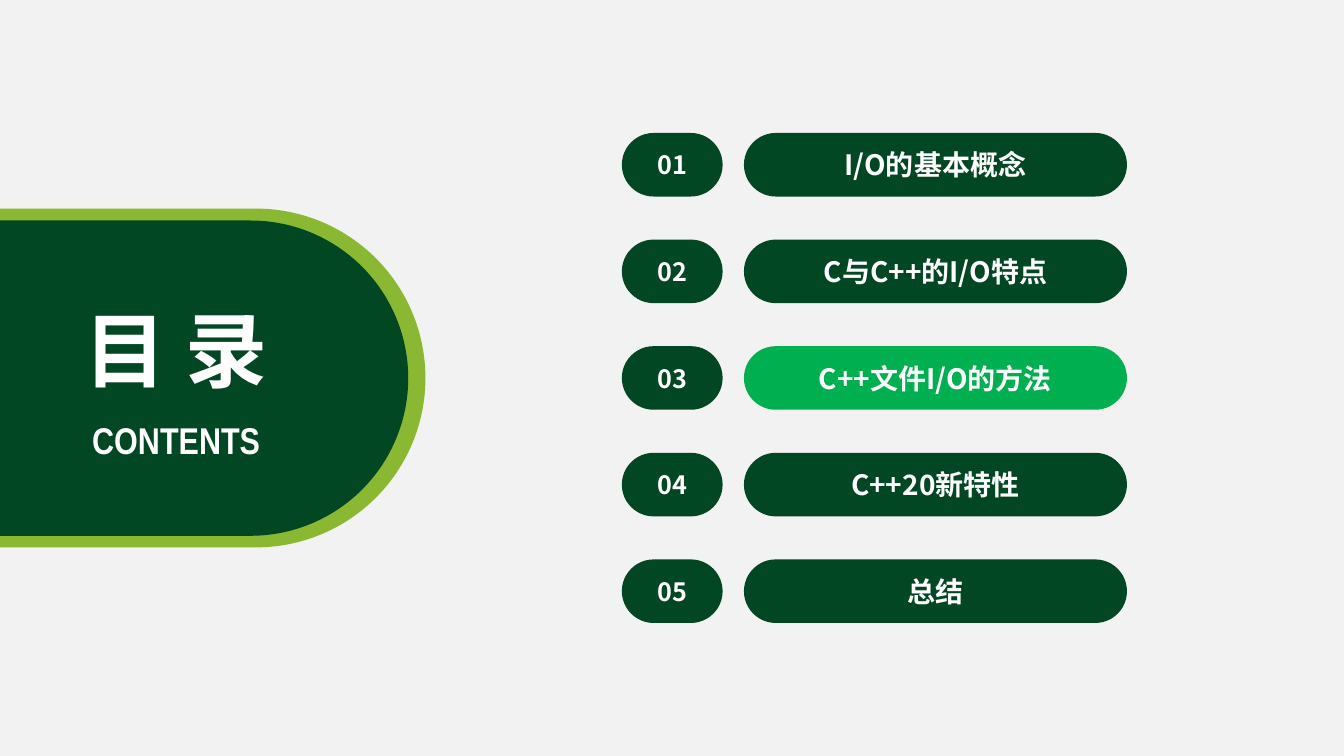
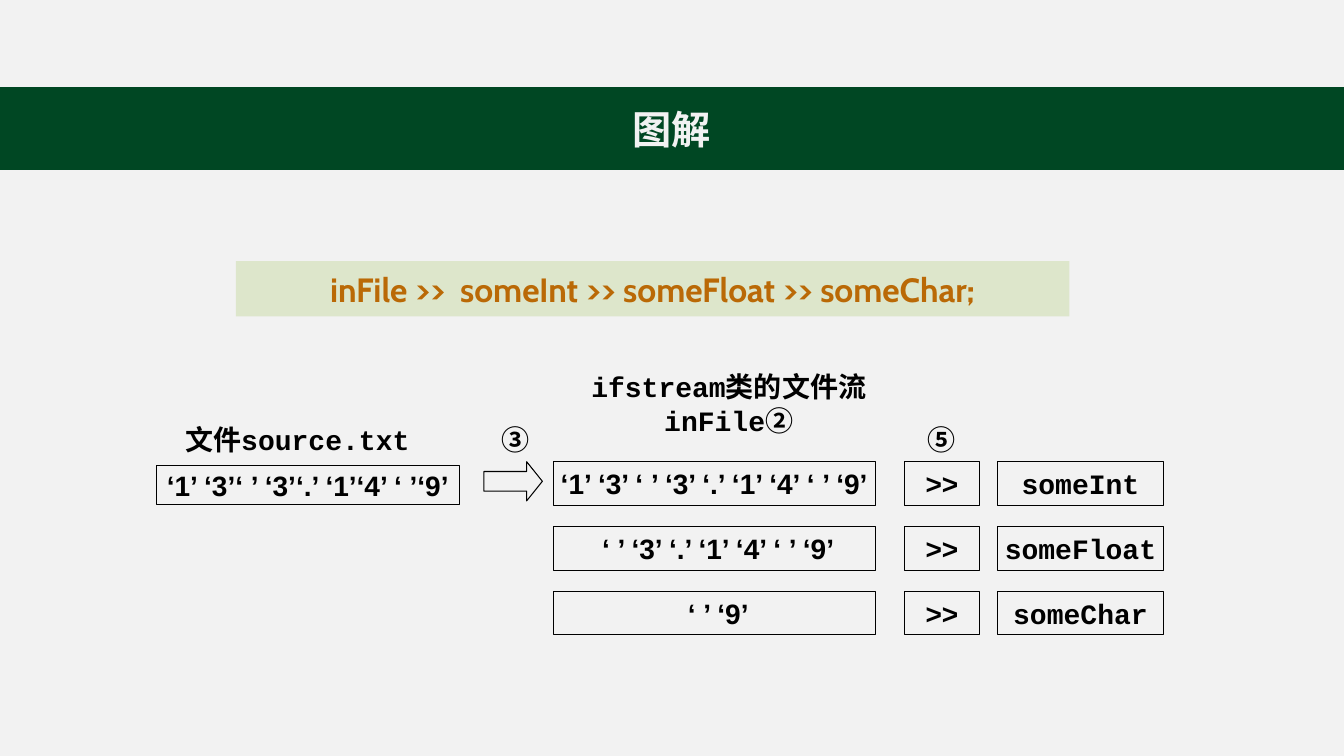
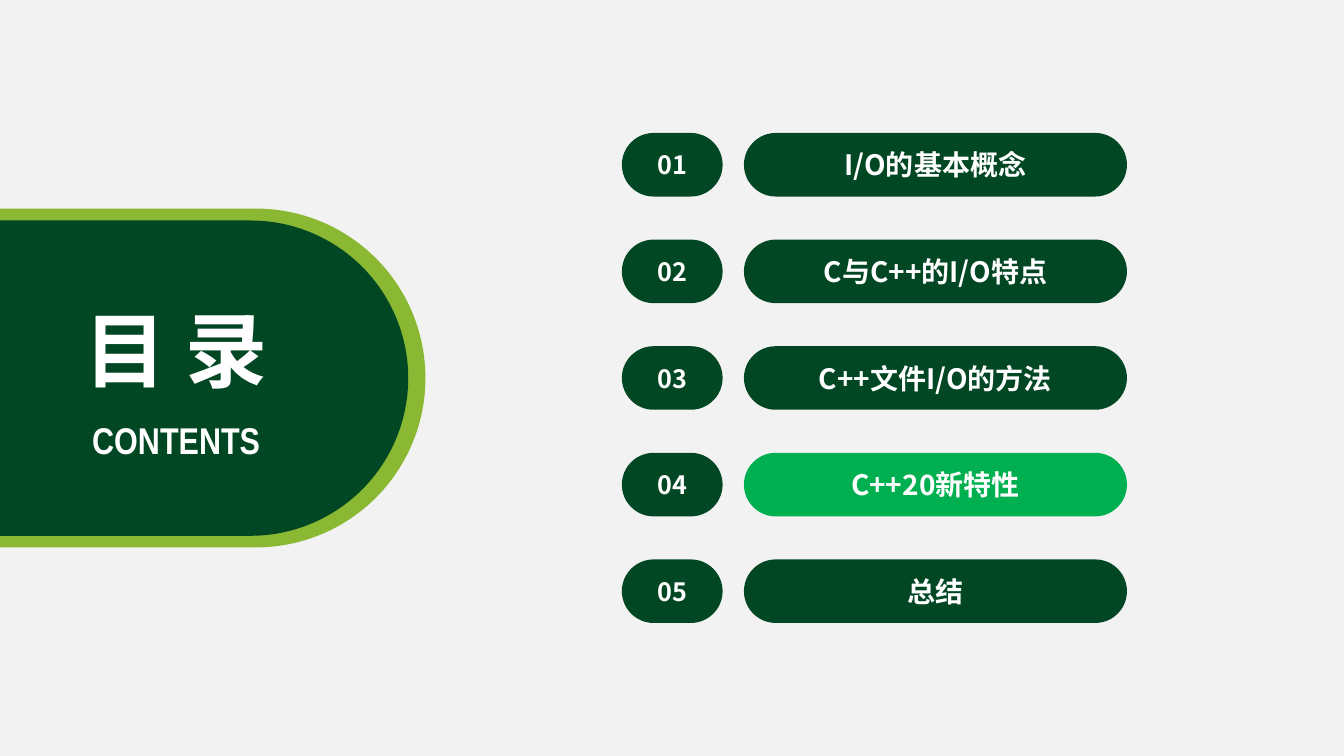
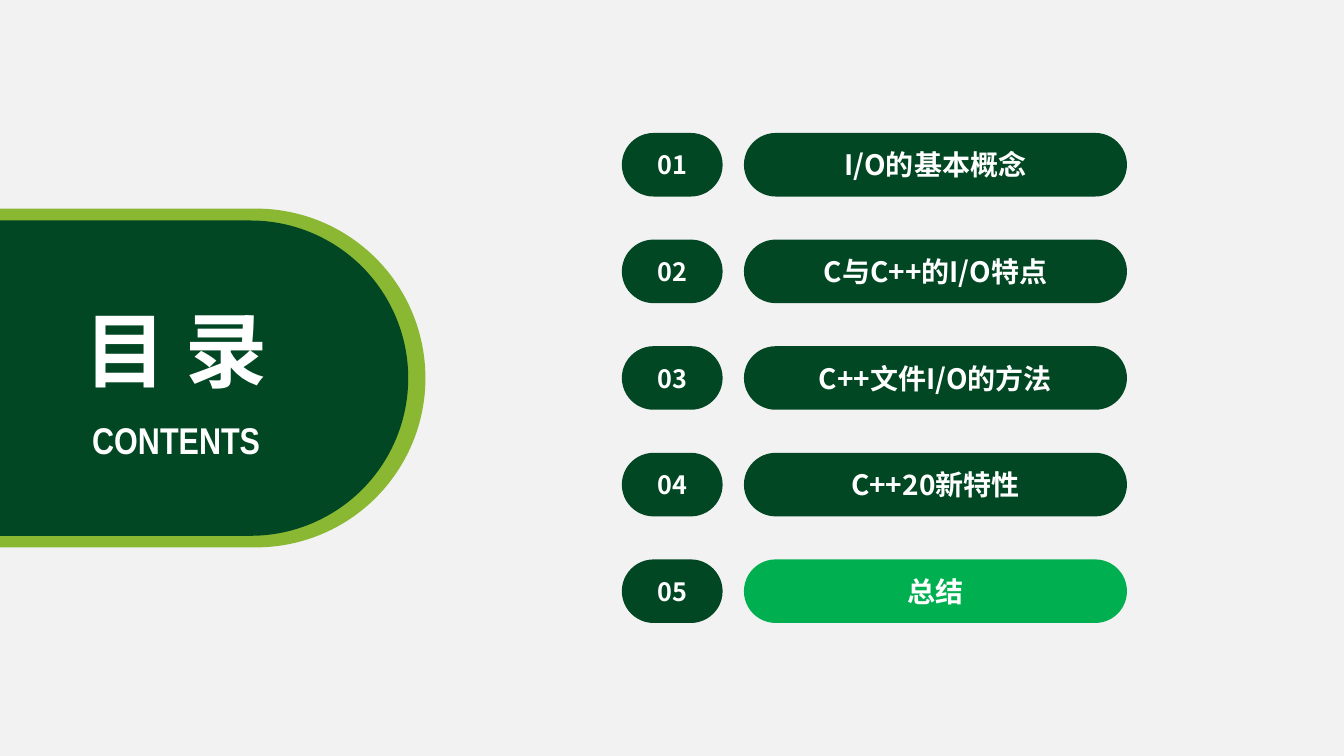
"""Builds three contents slides and one diagram of C++ stream extraction."""
from typing import NamedTuple

from lxml import etree
from pptx import Presentation
from pptx.dml.color import RGBColor
from pptx.enum.shapes import MSO_SHAPE
from pptx.enum.text import MSO_ANCHOR, PP_ALIGN
from pptx.oxml.ns import qn
from pptx.util import Pt

RECTANGLE = MSO_SHAPE.RECTANGLE
PILL = MSO_SHAPE.ROUNDED_RECTANGLE
ARROW = MSO_SHAPE.RIGHT_ARROW
MIDDLE = MSO_ANCHOR.MIDDLE
CENTER = PP_ALIGN.CENTER

PAPER = RGBColor(0xF2, 0xF2, 0xF2)
WHITE = RGBColor(0xFF, 0xFF, 0xFF)
BLACK = RGBColor(0x00, 0x00, 0x00)
DARK_GREEN = RGBColor(0x01, 0x47, 0x23)
BAND_GREEN = RGBColor(0x00, 0x47, 0x23)
LIME = RGBColor(0x8A, 0xB8, 0x33)
HIGHLIGHT = RGBColor(0x00, 0xB0, 0x50)
CODE_ORANGE = RGBColor(0xBA, 0x69, 0x06)

SANS = "Arial"
NARROW = "Arial Narrow"
MONO = "Courier New"
CJK = "Noto Sans CJK SC"
CODE_FONT = "Cabin"

SLIDE_WIDTH, SLIDE_HEIGHT = 960, 540


class Box(NamedTuple):
    left: float
    top: float
    width: float
    height: float

    def points(self) -> tuple:
        return tuple(Pt(length) for length in self)


class Run(NamedTuple):
    text: str
    font: str


class Extraction(NamedTuple):
    buffer: str
    variable: str


TOPICS = ("I/O的基本概念", "C与C++的I/O特点", "C++文件I/O的方法", "C++20新特性", "总结")
TOPIC_TOP, TOPIC_PITCH, TOPIC_HEIGHT = 95, 76.15, 45.4
NUMBER_LEFT, NUMBER_WIDTH = 444.2, 72
TOPIC_LEFT, TOPIC_WIDTH = 531.4, 273.6

EXTRACTIONS = (
    Extraction("‘1’ ‘3’ ‘ ’ ‘3’ ‘.’ ‘1’ ‘4’ ‘ ’ ‘9’", "someInt"),
    Extraction(" ‘ ’ ‘3’ ‘.’ ‘1’ ‘4’ ‘ ’ ‘9’", "someFloat"),
    Extraction(" ‘ ’ ‘9’", "someChar"),
)
ROW_TOP, ROW_PITCH, ROW_HEIGHT = 329.8, 46.4, 31
BUFFER_LEFT, BUFFER_WIDTH = 395.3, 230
OPERATOR_LEFT, OPERATOR_WIDTH = 645.8, 54
VARIABLE_LEFT, VARIABLE_WIDTH = 712.8, 118


def write(target, text, *, font=SANS, size=20, color=BLACK):
    """Write bold centred text, given as a string or as a tuple of runs."""
    frame = target.text_frame
    frame.word_wrap = True
    frame.vertical_anchor = MIDDLE
    frame.margin_left = frame.margin_right = frame.margin_top = frame.margin_bottom = 0
    paragraph = frame.paragraphs[0]
    paragraph.alignment = CENTER
    for piece in (Run(text, font),) if isinstance(text, str) else text:
        run = paragraph.add_run()
        run.text = piece.text
        run.font.size = Pt(size)
        run.font.bold = True
        run.font.color.rgb = color
        run.font.name = piece.font
        east_asian = etree.SubElement(run.font._element, qn("a:ea"))
        east_asian.set("typeface", piece.font)


def add_shape(slide, box: Box, kind=RECTANGLE, *, fill=None, line=None, weight=0.75, adjust=()):
    """Add a preset shape without shadow."""
    shape = slide.shapes.add_shape(kind, *box.points())
    shape.shadow.inherit = False
    if fill is None:
        shape.fill.background()
    else:
        shape.fill.solid()
        shape.fill.fore_color.rgb = fill
    if line is None:
        shape.line.fill.background()
    else:
        shape.line.color.rgb = line
        shape.line.width = Pt(weight)
    for index, value in enumerate(adjust):
        shape.adjustments[index] = value
    return shape


def add_pill(slide, box: Box, fill: RGBColor):
    """Add a shape with fully rounded ends."""
    return add_shape(slide, box, PILL, fill=fill, adjust=(0.5,))


def add_label(slide, box: Box, text, **style) -> None:
    """Add free text."""
    write(slide.shapes.add_textbox(*box.points()), text, **style)


def add_cell(slide, box: Box, text: str, *, font=SANS, weight=0.75) -> None:
    """Add an outlined box of the diagram."""
    write(add_shape(slide, box, line=BLACK, weight=weight), text, font=font)


def set_alpha(shape, percent: int) -> None:
    """Make the solid fill of a shape partly transparent."""
    color = shape._element.spPr.find(qn("a:solidFill"))[0]
    etree.SubElement(color, qn("a:alpha")).set("val", str(percent * 1000))


def new_slide(deck):
    """Add a blank slide."""
    return deck.slides.add_slide(deck.slide_layouts[6])


def add_contents(deck, current: int) -> None:
    """Add the contents slide with one topic highlighted."""
    slide = new_slide(deck)
    add_pill(slide, Box(-141.1, 149, 445, 242), LIME)
    add_pill(slide, Box(-122.4, 157.5, 414, 225.2), DARK_GREEN)
    for number, topic in enumerate(TOPICS, start=1):
        top = TOPIC_TOP + (number - 1) * TOPIC_PITCH
        badge = add_pill(slide, Box(NUMBER_LEFT, top, NUMBER_WIDTH, TOPIC_HEIGHT), DARK_GREEN)
        write(badge, f"{number:02}", font=CJK, size=18, color=WHITE)
        fill = HIGHLIGHT if number == current else DARK_GREEN
        bar = add_pill(slide, Box(TOPIC_LEFT, top, TOPIC_WIDTH, TOPIC_HEIGHT), fill)
        write(bar, topic, font=CJK, color=WHITE)
    add_label(slide, Box(44.6, 294.5, 162.7, 39.6), "CONTENTS", font=NARROW, size=26.6, color=WHITE)
    add_label(slide, Box(50.4, 210, 150.5, 78.5), "目 录", font=CJK, size=58.6, color=WHITE)


def add_diagram(deck) -> None:
    """Add the slide that traces the chained extraction."""
    slide = new_slide(deck)
    band = add_shape(slide, Box(0, 62.6, SLIDE_WIDTH, 58.3), fill=BAND_GREEN, line=BAND_GREEN, weight=1)
    write(band, "图解", font=CJK, size=28, color=PAPER)

    statement = add_shape(slide, Box(168.5, 186.5, 595.4, 39.6), fill=LIME)
    set_alpha(statement, 20)
    write(statement, "inFile >>  someInt >> someFloat >> someChar;",
          font=CODE_FONT, size=24, color=CODE_ORANGE)

    add_cell(slide, Box(111.6, 332.6, 216.7, 28), "‘1’ ‘3’‘ ’ ‘3’‘.’ ‘1’‘4’ ‘ ’‘9’", weight=1)
    add_shape(slide, Box(345.6, 329.8, 41.8, 28), ARROW, line=BLACK, adjust=(0.5, 0.4))
    for index, row in enumerate(EXTRACTIONS):
        top = ROW_TOP + index * ROW_PITCH
        add_cell(slide, Box(BUFFER_LEFT, top, BUFFER_WIDTH, ROW_HEIGHT), row.buffer)
        add_cell(slide, Box(OPERATOR_LEFT, top, OPERATOR_WIDTH, ROW_HEIGHT), ">>")
        add_cell(slide, Box(VARIABLE_LEFT, top, VARIABLE_WIDTH, ROW_HEIGHT), row.variable, font=MONO)

    add_label(slide, Box(128.9, 298, 167, 31), (Run("文件", SANS), Run("source.txt", MONO)))
    stream = (Run("ifstream", MONO), Run("类的文件流", SANS), Run("inFile", MONO), Run("②", CJK))
    add_label(slide, Box(378.7, 265, 283.7, 46), stream)
    for left, step in ((341.3, "③"), (OPERATOR_LEFT, "⑤")):
        add_label(slide, Box(left, 298, OPERATOR_WIDTH, 31.7), step, font=CJK)


def main() -> None:
    """Build and save the deck."""
    deck = Presentation()
    deck.slide_width, deck.slide_height = Pt(SLIDE_WIDTH), Pt(SLIDE_HEIGHT)
    background = deck.slide_master.background.fill
    background.solid()
    background.fore_color.rgb = PAPER
    add_contents(deck, 3)
    add_diagram(deck)
    add_contents(deck, 4)
    add_contents(deck, 5)
    deck.save("out.pptx")


if __name__ == "__main__":
    main()
